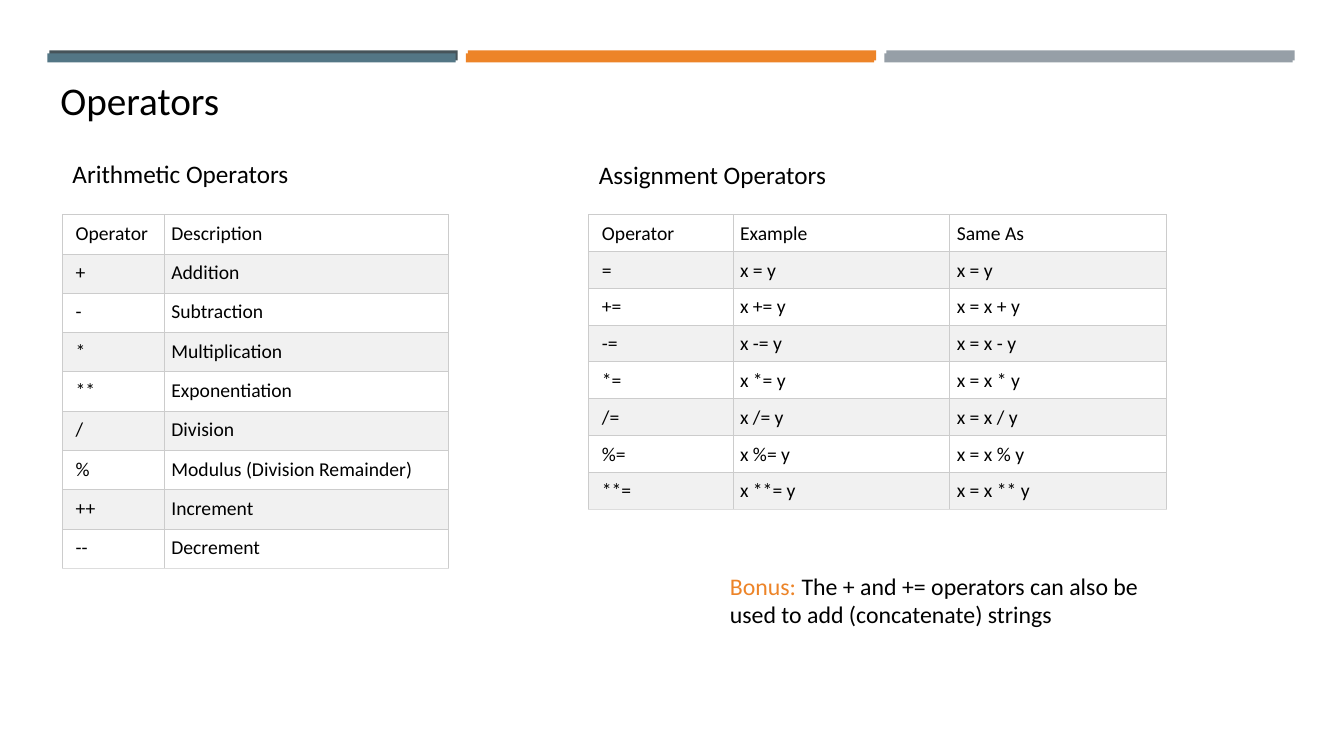
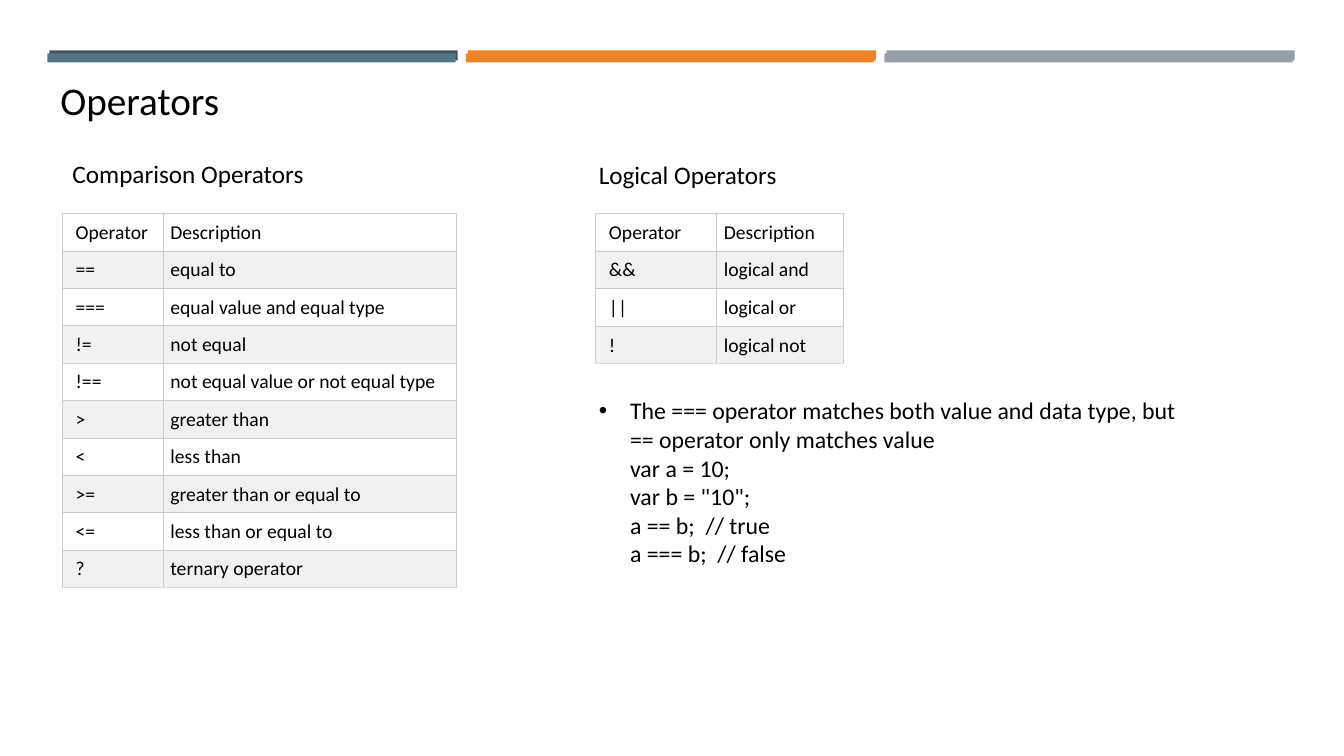
"""Build two slides of operator reference tables."""
from dataclasses import dataclass

from lxml import etree
from pptx import Presentation
from pptx.dml.color import RGBColor
from pptx.enum.shapes import MSO_SHAPE
from pptx.enum.text import MSO_ANCHOR
from pptx.oxml.ns import qn
from pptx.slide import Slide
from pptx.table import _Cell
from pptx.text.text import TextFrame, _Paragraph
from pptx.util import Emu, Pt

RECTANGLE = MSO_SHAPE.RECTANGLE
TOP, BOTTOM = MSO_ANCHOR.TOP, MSO_ANCHOR.BOTTOM
EMU_PER_PX = 9144


@dataclass(frozen=True)
class Theme:
    font: str = "Calibri"
    text: str = "000000"
    slate: str = "537685"
    dark_slate: str = "465359"
    orange: str = "ED8428"
    gray: str = "969FA7"
    row_fills: tuple[str, str] = ("FFFFFF", "F1F1F1")
    border: str = "CCCCCC"
    last_border: str = "DDDDDD"
    title_size: int = 28
    heading_size: int = 18
    note_size: int = 17
    cell_size: int = 14
    border_width: float = 0.75


THEME = Theme()


@dataclass(frozen=True)
class Box:
    left: int
    top: int
    width: int
    height: int


@dataclass(frozen=True)
class Span:
    text: str
    color: str = THEME.text


@dataclass(frozen=True)
class Grid:
    heading: str
    heading_box: Box
    left: int
    top: int
    height: int
    columns: tuple[int, ...]
    rows: tuple[tuple[str, ...], ...]


@dataclass(frozen=True)
class Note:
    box: Box
    spans: tuple[Span, ...]
    bulleted: bool = False


@dataclass(frozen=True)
class Page:
    title: str
    grids: tuple[Grid, ...]
    note: Note


@dataclass(frozen=True)
class BandRow:
    left: int
    top: int
    height: int
    colors: tuple[str, str, str]


SLIDE_WIDTH, SLIDE_HEIGHT = 1333, 750
BAND_WIDTH, BAND_PITCH = 405, 415
BAND_ROWS = (
    BandRow(49, 50, 10, (THEME.dark_slate, THEME.orange, THEME.gray)),
    BandRow(47, 53, 9, (THEME.slate, THEME.orange, THEME.gray)),
)
TITLE_BOX = Box(50, 66, 1232, 61)
LEFT_HEADING = Box(62, 152, 272, 40)
RIGHT_HEADING = Box(584, 153, 272, 40)
BULLET_INDENT = 31

ARITHMETIC = (
    ("Operator", "Description"),
    ("+", "Addition"),
    ("-", "Subtraction"),
    ("*", "Multiplication"),
    ("**", "Exponentiation"),
    ("/", "Division"),
    ("%", "Modulus (Division Remainder)"),
    ("++", "Increment"),
    ("--", "Decrement"),
)
ASSIGNMENT = (
    ("Operator", "Example", "Same As"),
    ("=", "x = y", "x = y"),
    *((f"{sign}=", f"x {sign}= y", f"x = x {sign} y")
      for sign in ("+", "-", "*", "/", "%", "**")),
)
COMPARISON = (
    ("Operator", "Description"),
    ("==", "equal to"),
    ("===", "equal value and equal type"),
    ("!=", "not equal"),
    ("!==", "not equal value or not equal type"),
    (">", "greater than"),
    ("<", "less than"),
    (">=", "greater than or equal to"),
    ("<=", "less than or equal to"),
    ("?", "ternary operator"),
)
LOGICAL = (
    ("Operator", "Description"),
    ("&&", "logical and"),
    ("||", "logical or"),
    ("!", "logical not"),
)
EQUALITY_NOTE = """The === operator matches both value and data type, but == operator only matches value
var a = 10;
var b = "10";
a == b;  // true
a === b;  // false"""

PAGES = (
    Page(
        "Operators",
        (
            Grid("Arithmetic Operators", LEFT_HEADING, 62, 213, 351, (101, 282), ARITHMETIC),
            Grid("Assignment Operators", RIGHT_HEADING, 584, 213, 292, (143, 215, 215), ASSIGNMENT),
        ),
        Note(
            Box(714, 562, 441, 67),
            (
                Span("Bonus: ", THEME.orange),
                Span("The + and += operators can also be used to add (concatenate) strings"),
            ),
        ),
    ),
    Page(
        "Operators",
        (
            Grid("Comparison Operators", LEFT_HEADING, 62, 212, 371, (100, 291), COMPARISON),
            Grid("Logical Operators", RIGHT_HEADING, 591, 212, 149, (120, 126), LOGICAL),
        ),
        Note(Box(584, 388, 599, 182), (Span(EQUALITY_NOTE),), bulleted=True),
    ),
)


def px(length: float) -> Emu:
    """Turn pixels into EMU."""
    return Emu(round(length * EMU_PER_PX))


def place(box: Box) -> tuple[Emu, Emu, Emu, Emu]:
    """Return the box as EMU lengths."""
    return px(box.left), px(box.top), px(box.width), px(box.height)


def write(para: _Paragraph, text: str, *, size: int, color: str = THEME.text) -> None:
    """Append formatted text, breaking lines at newlines."""
    for index, line in enumerate(text.split("\n")):
        if index:
            para.add_line_break()
        span = para.add_run()
        span.text = line
        span.font.name = THEME.font
        span.font.size = Pt(size)
        span.font.color.rgb = RGBColor.from_string(color)


def add_text_frame(slide: Slide, box: Box, anchor: MSO_ANCHOR = TOP) -> TextFrame:
    """Add a wrapping text box and return its frame."""
    frame = slide.shapes.add_textbox(*place(box)).text_frame
    frame.word_wrap = True
    frame.vertical_anchor = anchor
    return frame


def add_bullet(para: _Paragraph) -> None:
    """Give the paragraph a round bullet with a hanging indent."""
    properties = para._p.get_or_add_pPr()
    properties.set("marL", str(px(BULLET_INDENT)))
    properties.set("indent", str(px(-BULLET_INDENT)))
    etree.SubElement(properties, qn("a:buFont"), typeface="Arial")
    etree.SubElement(properties, qn("a:buChar"), char="•")


def add_bands(slide: Slide) -> None:
    """Draw the layered colour bands along the top."""
    for row in BAND_ROWS:
        for index, color in enumerate(row.colors):
            box = Box(row.left + index * BAND_PITCH, row.top, BAND_WIDTH, row.height)
            band = slide.shapes.add_shape(RECTANGLE, *place(box))
            band.shadow.inherit = False
            band.fill.solid()
            band.fill.fore_color.rgb = RGBColor.from_string(color)
            band.line.fill.background()


def add_borders(cell: _Cell, bottom_color: str) -> None:
    """Draw thin lines on all four sides of the cell."""
    properties = cell._tc.get_or_add_tcPr()
    for side in "LRTB":
        color = bottom_color if side == "B" else THEME.border
        line = etree.SubElement(properties, qn(f"a:ln{side}"), w=str(Pt(THEME.border_width)))
        fill = etree.SubElement(line, qn("a:solidFill"))
        etree.SubElement(fill, qn("a:srgbClr"), val=color)


def format_cell(cell: _Cell, text: str, *, fill: str, left_margin: int, bottom_color: str) -> None:
    """Fill one table cell with its text and style."""
    cell.margin_left, cell.margin_right = px(left_margin), px(7)
    cell.margin_top, cell.margin_bottom = px(7), px(5)
    add_borders(cell, bottom_color)
    cell.fill.solid()
    cell.fill.fore_color.rgb = RGBColor.from_string(fill)
    write(cell.text_frame.paragraphs[0], text, size=THEME.cell_size)


def add_grid(slide: Slide, grid: Grid) -> None:
    """Add a heading and its striped table."""
    heading = add_text_frame(slide, grid.heading_box)
    write(heading.paragraphs[0], grid.heading, size=THEME.heading_size)
    box = Box(grid.left, grid.top, sum(grid.columns), grid.height)
    row_count = len(grid.rows)
    table = slide.shapes.add_table(row_count, len(grid.columns), *place(box)).table
    table.first_row = table.horz_banding = False
    for column, width in zip(table.columns, grid.columns):
        column.width = px(width)
    for row_index, texts in enumerate(grid.rows):
        table.rows[row_index].height = px(grid.height / row_count)
        is_last = row_index == row_count - 1
        for column_index, text in enumerate(texts):
            format_cell(
                table.cell(row_index, column_index),
                text,
                fill=THEME.row_fills[row_index % 2],
                left_margin=7 if column_index else 13,
                bottom_color=THEME.last_border if is_last else THEME.border,
            )


def add_note(slide: Slide, note: Note) -> None:
    """Add the remark that goes with the tables."""
    para = add_text_frame(slide, note.box).paragraphs[0]
    if note.bulleted:
        add_bullet(para)
    for span in note.spans:
        write(para, span.text, size=THEME.note_size, color=span.color)


def main() -> None:
    """Build and save the deck."""
    deck = Presentation()
    deck.slide_width, deck.slide_height = px(SLIDE_WIDTH), px(SLIDE_HEIGHT)
    blank_layout = deck.slide_layouts[6]
    for page in PAGES:
        slide = deck.slides.add_slide(blank_layout)
        add_bands(slide)
        title = add_text_frame(slide, TITLE_BOX, BOTTOM)
        write(title.paragraphs[0], page.title, size=THEME.title_size)
        for grid in page.grids:
            add_grid(slide, grid)
        add_note(slide, page.note)
    deck.save("out.pptx")


if __name__ == "__main__":
    main()
